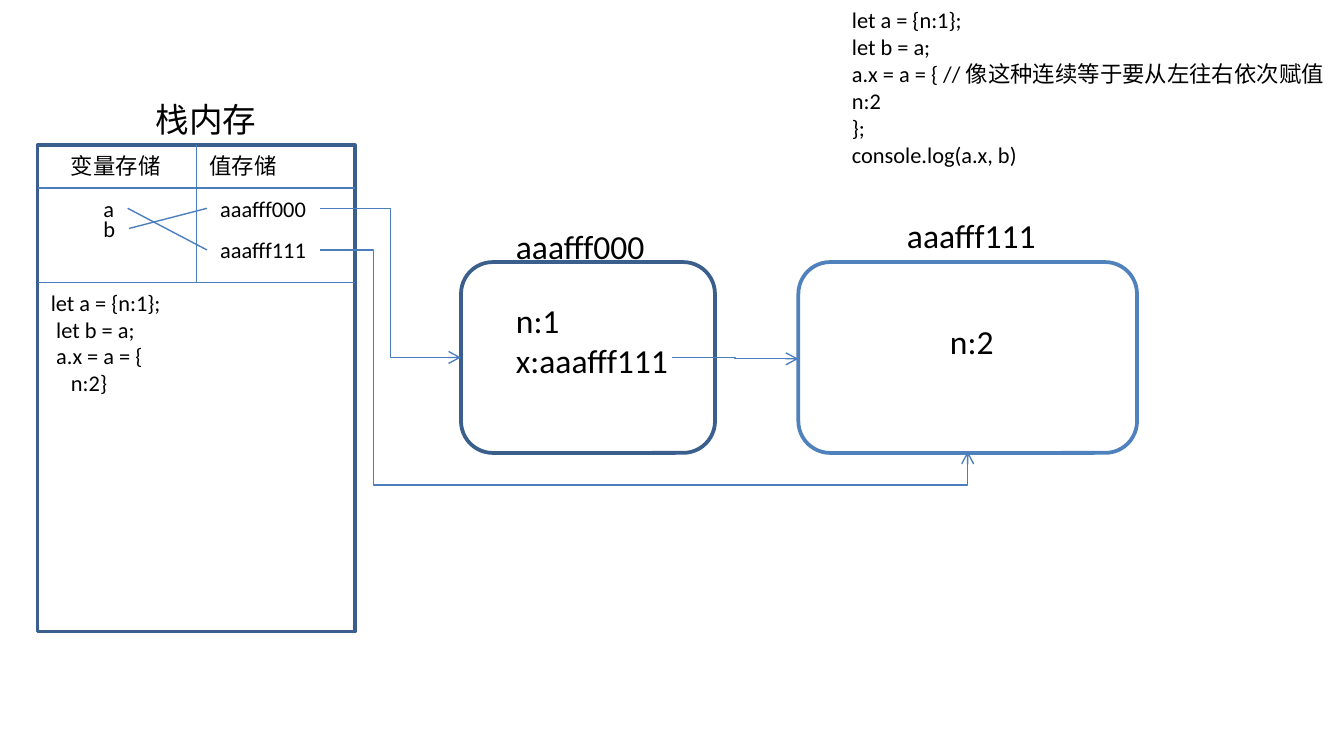
"""Build a slide on stack memory, object references and chained assignment."""
from dataclasses import dataclass

from lxml.etree import SubElement
from pptx import Presentation
from pptx.dml.color import RGBColor
from pptx.enum.shapes import MSO_CONNECTOR, MSO_SHAPE
from pptx.enum.text import MSO_AUTO_SIZE
from pptx.oxml.ns import qn
from pptx.util import Inches, Pt


@dataclass(frozen=True)
class Theme:
    font: str = "Calibri"
    text: RGBColor = RGBColor(0, 0, 0)
    fill: RGBColor = RGBColor(0xFF, 0xFF, 0xFF)
    dark_line: RGBColor = RGBColor(0x3A, 0x5F, 0x8C)
    light_line: RGBColor = RGBColor(0x4F, 0x81, 0xBD)
    connector: RGBColor = RGBColor(0x4B, 0x7E, 0xBC)
    small: int = 12
    large: int = 18
    border: float = 2
    thin: float = 0.75


THEME = Theme()

STACK_LEFT, STACK_TOP, STACK_WIDTH, STACK_HEIGHT = 0.28, 1.08, 2.36, 3.62
STACK_RIGHT = STACK_LEFT + STACK_WIDTH
STACK_MIDDLE = STACK_LEFT + STACK_WIDTH / 2
HEADER_BOTTOM, VARIABLES_BOTTOM = 1.4, 2.1
HEADER_TAB = 1.03
HEAP_TOP, HEAP_HEIGHT = 1.95, 1.42
VALUE_LEFT, VALUE_RIGHT = 1.54, 2.38
FIRST_ROW, SECOND_ROW = 1.55, 1.86

BOXES = [
    (MSO_SHAPE.RECTANGLE, STACK_LEFT, STACK_TOP, STACK_WIDTH, STACK_HEIGHT, THEME.dark_line),
    (MSO_SHAPE.ROUNDED_RECTANGLE, 3.43, HEAP_TOP, 1.89, HEAP_HEIGHT, THEME.dark_line),
    (MSO_SHAPE.ROUNDED_RECTANGLE, 5.94, HEAP_TOP, 2.52, HEAP_HEIGHT, THEME.light_line),
]

LINES = [
    (STACK_LEFT, VARIABLES_BOTTOM, STACK_RIGHT, VARIABLES_BOTTOM),
    (STACK_MIDDLE, STACK_TOP, STACK_MIDDLE, VARIABLES_BOTTOM),
    (STACK_LEFT, HEADER_BOTTOM, STACK_RIGHT, HEADER_BOTTOM),
    (VALUE_LEFT, SECOND_ROW, 0.95, FIRST_ROW),
    (VALUE_LEFT, FIRST_ROW, 0.96, 1.7),
]

ARROWS = [
    ((VALUE_RIGHT, FIRST_ROW, 3.43, 2.66), "bentConnector3", [50000]),
    ((5, 2.66, 5.94, 2.67), "bentConnector3", [50000]),
    ((VALUE_RIGHT, SECOND_ROW, 7.2, 3.36), "bentConnector4", [8300, 116600]),
]

HEADER = (0.43, STACK_TOP, 1.77, 0.3, ["变量存储\t值存储"])

CODE_BLOCKS = [
    ((6.09, 0, 3.91, 1.51, [
        "let a = {n:1};",
        "let b = a;",
        "a.x = a = { // 像这种连续等于要从左往右依次赋值",
        "n:2",
        "};",
        "console.log(a.x, b)",
    ]), [0.15] * 6),
    ((STACK_LEFT, VARIABLES_BOTTOM, 1.03, 1.11, [
        "let a = {n:1};",
        "let b = a;",
        "a.x = a = {",
        "n:2}",
    ]), [0, 0.04, 0.04, 0.15]),
]

SMALL_LABELS = [
    (0.67, 1.4, 0.28, 0.3, ["a"]),
    (0.67, 1.55, 0.29, 0.3, ["b"]),
    (VALUE_LEFT, 1.4, 0.85, 0.3, ["aaafff000"]),
    (VALUE_LEFT, 1.71, 0.85, 0.3, ["aaafff111"]),
]

LARGE_LABELS = [
    (1.06, 0.69, 0.96, 0.4, ["栈内存"]),
    (3.74, 1.63, 1.17, 0.4, ["aaafff000"]),
    (3.74, 2.18, 1.35, 0.71, ["n:1", "x:aaafff111"]),
    (6.65, 1.55, 1.17, 0.4, ["aaafff111"]),
    (6.97, 2.34, 0.53, 0.4, ["n:2"]),
]


def add_box(slide, kind, left, top, width, height, color):
    shape = slide.shapes.add_shape(kind, Inches(left), Inches(top), Inches(width), Inches(height))
    shape.shadow.inherit = False
    shape.fill.solid()
    shape.fill.fore_color.rgb = THEME.fill
    shape.line.color.rgb = color
    shape.line.width = Pt(THEME.border)


def add_label(slide, left, top, width, height, lines, size):
    shape = slide.shapes.add_textbox(Inches(left), Inches(top), Inches(width), Inches(height))
    frame = shape.text_frame
    frame.text = "\n".join(lines)
    frame.word_wrap = False
    frame.auto_size = MSO_AUTO_SIZE.SHAPE_TO_FIT_TEXT
    for paragraph in frame.paragraphs:
        font = paragraph.runs[0].font
        font.name = THEME.font
        font.size = Pt(size)
        font.color.rgb = THEME.text
    return frame


def add_header(slide):
    frame = add_label(slide, *HEADER, THEME.small)
    tabs = SubElement(frame.paragraphs[0]._p.get_or_add_pPr(), qn("a:tabLst"))
    SubElement(tabs, qn("a:tab"), pos=str(Inches(HEADER_TAB)), algn="l")


def add_code(slide, block, indents):
    frame = add_label(slide, *block, THEME.small)
    frame.word_wrap = True
    frame.margin_right = 0
    for paragraph, indent in zip(frame.paragraphs, indents):
        paragraph._p.get_or_add_pPr().set("marL", str(Inches(indent)))


def add_line(slide, ends, kind=MSO_CONNECTOR.STRAIGHT):
    connector = slide.shapes.add_connector(kind, *[Inches(value) for value in ends])
    connector.line.color.rgb = THEME.connector
    connector.line.width = Pt(THEME.thin)
    SubElement(connector._element.spPr, qn("a:effectLst"))
    return connector


def add_arrow(slide, ends, preset, adjustments):
    connector = add_line(slide, ends, MSO_CONNECTOR.ELBOW)
    properties = connector._element.spPr
    geometry = properties.find(qn("a:prstGeom"))
    geometry.set("prst", preset)
    guides = geometry.find(qn("a:avLst"))
    for number, value in enumerate(adjustments, 1):
        SubElement(guides, qn("a:gd"), name=f"adj{number}", fmla=f"val {value}")
    SubElement(properties.find(qn("a:ln")), qn("a:tailEnd"), type="arrow")


def main():
    presentation = Presentation()
    presentation.slide_width = Inches(10)
    presentation.slide_height = presentation.slide_width * 9 // 16
    slide = presentation.slides.add_slide(presentation.slide_layouts[6])
    for box in BOXES:
        add_box(slide, *box)
    for ends in LINES:
        add_line(slide, ends)
    for arrow in ARROWS:
        add_arrow(slide, *arrow)
    add_header(slide)
    for block, indents in CODE_BLOCKS:
        add_code(slide, block, indents)
    for label in SMALL_LABELS:
        add_label(slide, *label, THEME.small)
    for label in LARGE_LABELS:
        add_label(slide, *label, THEME.large)
    presentation.save("out.pptx")


main()
